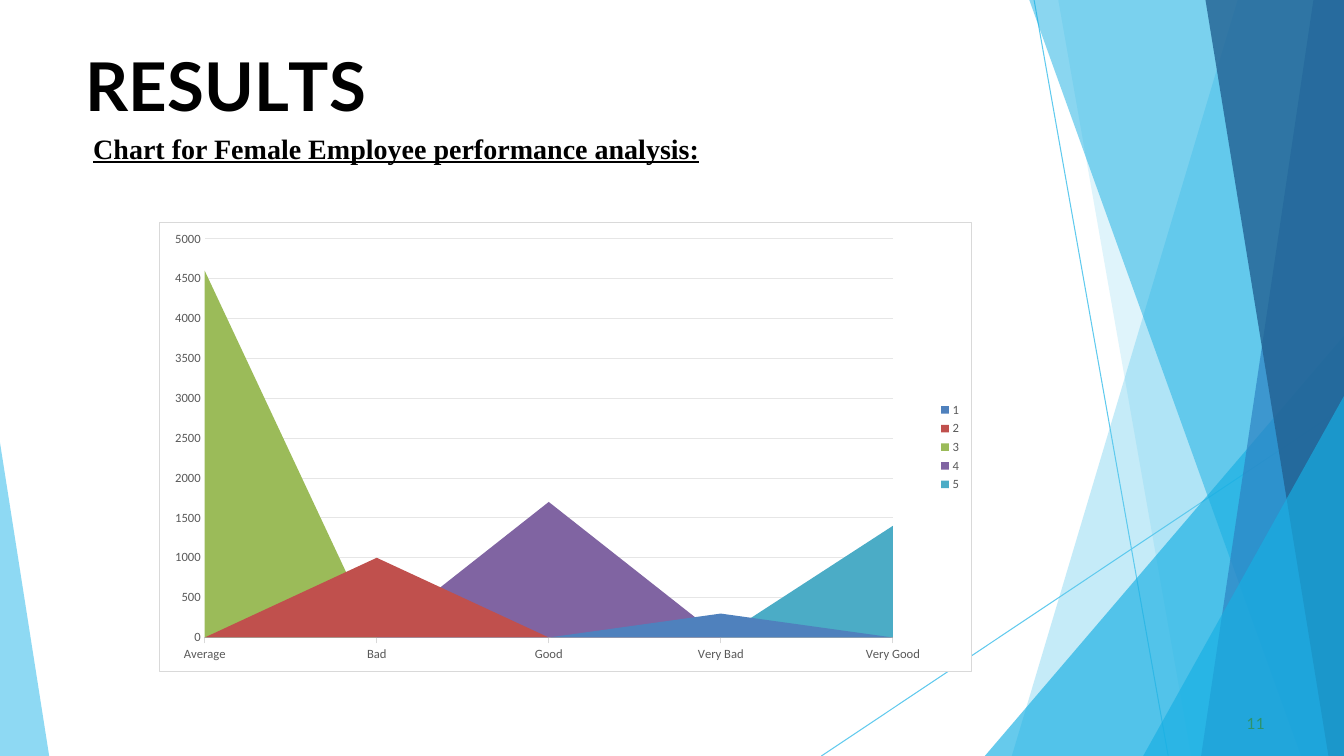
from lxml import etree
from pptx import Presentation
from pptx.chart.data import CategoryChartData
from pptx.dml.color import RGBColor
from pptx.enum.chart import XL_CHART_TYPE, XL_LEGEND_POSITION, XL_TICK_MARK
from pptx.enum.shapes import MSO_CONNECTOR
from pptx.enum.text import MSO_ANCHOR, PP_ALIGN
from pptx.oxml import parse_xml
from pptx.oxml.ns import qn
from pptx.util import Cm, Pt

AREA = XL_CHART_TYPE.AREA
LEGEND_RIGHT = XL_LEGEND_POSITION.RIGHT
TICK_NONE = XL_TICK_MARK.NONE
TICK_OUT = XL_TICK_MARK.OUTSIDE
STRAIGHT = MSO_CONNECTOR.STRAIGHT
TOP = MSO_ANCHOR.TOP
LEFT = PP_ALIGN.LEFT
TITLE_ONLY = 5
CHART_NS = "http://schemas.openxmlformats.org/drawingml/2006/chart"
WIDTH, HEIGHT = 33.87, 19.05

COLORS = {
    "sky": "5FCAEE", "cyan": "17AFE3", "blue": "2D83C3", "navy": "226192",
    "ink": "000000", "number": "2D936B", "paper": "FFFFFF",
    "label": "595959", "border": "D9D9D9", "grid": "E6E6E6",
}
RATINGS = ["Average", "Bad", "Good", "Very Bad", "Very Good"]
SCORES = [
    ("1", (0, 0, 0, 300, 0), "4F81BD"),
    ("2", (0, 1000, 0, 0, 0), "C0504D"),
    ("3", (4600, 0, 0, 0, 0), "9BBB59"),
    ("4", (0, 0, 1700, 0, 0), "8064A2"),
    ("5", (0, 0, 0, 0, 1400), "4BACC6"),
]
BEAMS = [((26.06, 0), (29.44, HEIGHT)), ((WIDTH, 10.26), (20.7, HEIGHT))]
RIGHT_FACETS = [
    (31.19, 0, 25.5, "sky", 36),
    (26.67, 0, 30.02, "sky", 20),
    (WIDTH, 8.46, 24.82, "cyan", 66),
    (25.94, 0, 32.79, "cyan", 50),
    (33.1, 0, 30.27, "blue", 70),
    (30.38, 0, 33.48, "navy", 80),
    (WIDTH, 9.98, 28.81, "cyan", 66),
]
LEFT_FACET = [(0, 11.15), (0, HEIGHT), (1.24, HEIGHT)]


def rgb(name):
    return RGBColor.from_string(COLORS[name])


def draw_facet(slide, corners, color, opacity):
    points = [(Cm(x), Cm(y)) for x, y in corners]
    builder = slide.shapes.build_freeform(*points[0])
    builder.add_line_segments(points[1:], close=True)
    facet = builder.convert_to_shape()
    facet.shadow.inherit = False
    facet.line.fill.background()
    facet.fill.solid()
    facet.fill.fore_color.rgb = rgb(color)
    tint = facet.fill._xPr.find(".//" + qn("a:srgbClr"))
    etree.SubElement(tint, qn("a:alpha"), val=str(opacity * 1000))


def draw_backdrop(slide, width, height):
    for start, end in BEAMS:
        beam = slide.shapes.add_connector(STRAIGHT, *map(Cm, start + end))
        beam.line.color.rgb = rgb("sky")
        beam.line.width = Pt(0.75)
        etree.SubElement(beam._element.spPr, qn("a:effectLst"))
    for top_x, top_y, bottom_x, color, opacity in RIGHT_FACETS:
        corners = [(top_x, top_y), (bottom_x, height), (width, height)]
        if top_x < width:
            corners.append((width, top_y))
        draw_facet(slide, corners, color, opacity)
    draw_facet(slide, LEFT_FACET, "sky", 70)


def place(shape, box):
    shape.left, shape.top, shape.width, shape.height = map(Cm, box)


def style_font(font, face, size, color, bold=False):
    font.name, font.size, font.bold = face, Pt(size), bold
    font.color.rgb = rgb(color)


def trim_margins(frame):
    frame.margin_left = frame.margin_right = frame.margin_bottom = 0
    frame.margin_top = Cm(0.03)


def indent(paragraph, length):
    paragraph._p.get_or_add_pPr().set("marL", str(Cm(length)))


def draw_title(slide, box):
    title = slide.shapes.title
    place(title, box)
    slide.shapes._spTree.append(title._element)
    frame = title.text_frame
    trim_margins(frame)
    frame.vertical_anchor = TOP
    heading = frame.paragraphs[0]
    heading.alignment = LEFT
    heading.space_before = Pt(1.1)
    indent(heading, 0.04)
    spaced_letters = [("R", 0), ("E", -40), ("S", 10), ("U", -30), ("L", -400), ("TS", 0)]
    for letters, spacing in spaced_letters:
        run = heading.add_run()
        run.text = letters
        style_font(run.font, "Lato", 48, "ink", True)
        run.font._element.set("spc", str(spacing))


def draw_page_number(slide, box):
    number = slide.shapes.add_textbox(*map(Cm, box))
    frame = number.text_frame
    frame.word_wrap = True
    trim_margins(frame)
    frame.text = "11"
    line = frame.paragraphs[0]
    line.space_before = Pt(0.6)
    indent(line, 0.1)
    font = line.runs[0].font
    style_font(font, "Lato", 11, "number")
    font._element.set("spc", "10")


def draw_subtitle(slide, box):
    subtitle = slide.shapes.add_textbox(*map(Cm, box))
    frame = subtitle.text_frame
    frame.word_wrap = True
    frame.text = "Chart for Female Employee performance analysis:"
    font = frame.paragraphs[0].runs[0].font
    style_font(font, "Times New Roman", 20, "ink", True)
    font.underline = True


def frame_chart(chart):
    space = chart._chartSpace
    outline = parse_xml(
        f'<c:spPr xmlns:c="{CHART_NS}" '
        'xmlns:a="http://schemas.openxmlformats.org/drawingml/2006/main">'
        f'<a:solidFill><a:srgbClr val="{COLORS["paper"]}"/></a:solidFill>'
        f'<a:ln w="9525"><a:solidFill><a:srgbClr val="{COLORS["border"]}"/>'
        '</a:solidFill></a:ln></c:spPr>')
    space.find(qn("c:chart")).addnext(outline)
    plot_area = space.find(".//" + qn("c:plotArea"))
    for old in plot_area.findall(qn("c:layout")):
        plot_area.remove(old)
    layout = etree.Element(qn("c:layout"))
    manual = etree.SubElement(layout, qn("c:manualLayout"))
    settings = [("layoutTarget", "inner"), ("xMode", "edge"), ("yMode", "edge"),
                ("x", "0.056"), ("y", "0.036"), ("w", "0.847"), ("h", "0.888")]
    for tag, value in settings:
        etree.SubElement(manual, qn("c:" + tag), val=value)
    plot_area.insert(0, layout)


def draw_performance_chart(slide, box):
    data = CategoryChartData()
    data.categories = RATINGS
    for name, values, _ in SCORES:
        data.add_series(name, values)
    chart = slide.shapes.add_chart(AREA, *map(Cm, box), data).chart
    chart.has_title = False
    style_font(chart.font, "Calibri", 10, "ink")
    for series, (_, _, color) in zip(chart.plots[0].series, SCORES):
        series.format.fill.solid()
        series.format.fill.fore_color.rgb = RGBColor.from_string(color)
    ratings, counts = chart.category_axis, chart.value_axis
    ratings.major_tick_mark = TICK_OUT
    ratings.has_major_gridlines = False
    ratings.format.line.color.rgb = rgb("border")
    ratings.format.line.width = Pt(0.75)
    counts.major_tick_mark = TICK_NONE
    counts.minimum_scale, counts.maximum_scale, counts.major_unit = 0, 5000, 500
    counts.format.line.fill.background()
    counts.has_major_gridlines = True
    counts.major_gridlines.format.line.color.rgb = rgb("grid")
    counts.major_gridlines.format.line.width = Pt(0.75)
    chart.has_legend = True
    chart.legend.position = LEGEND_RIGHT
    chart.legend.include_in_layout = False
    for font in (ratings.tick_labels.font, counts.tick_labels.font, chart.legend.font):
        style_font(font, "Calibri", 9, "label")
    frame_chart(chart)


def main():
    deck = Presentation()
    deck.slide_width, deck.slide_height = Cm(WIDTH), Cm(HEIGHT)
    slide = deck.slides.add_slide(deck.slide_layouts[TITLE_ONLY])
    draw_backdrop(slide, WIDTH, HEIGHT)
    draw_title(slide, (2.11, 1.09, 29.67, 2.11))
    draw_page_number(slide, (31.32, 17.97, 0.64, 0.53))
    draw_subtitle(slide, (2.1, 3.18, 16.51, 1.12))
    draw_performance_chart(slide, (4.0, 5.6, 20.5, 11.34))
    deck.save("out.pptx")


if __name__ == "__main__":
    main()
